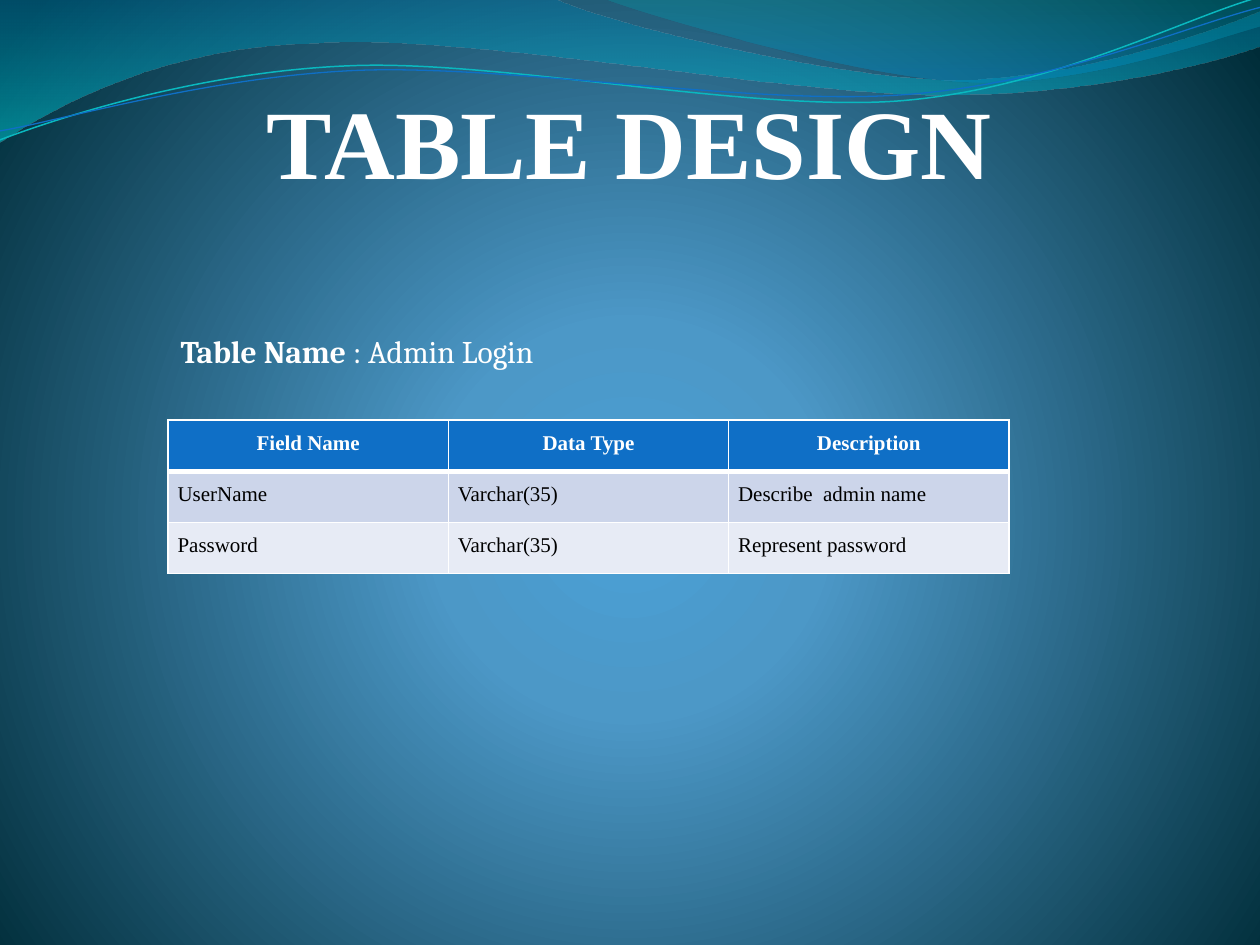
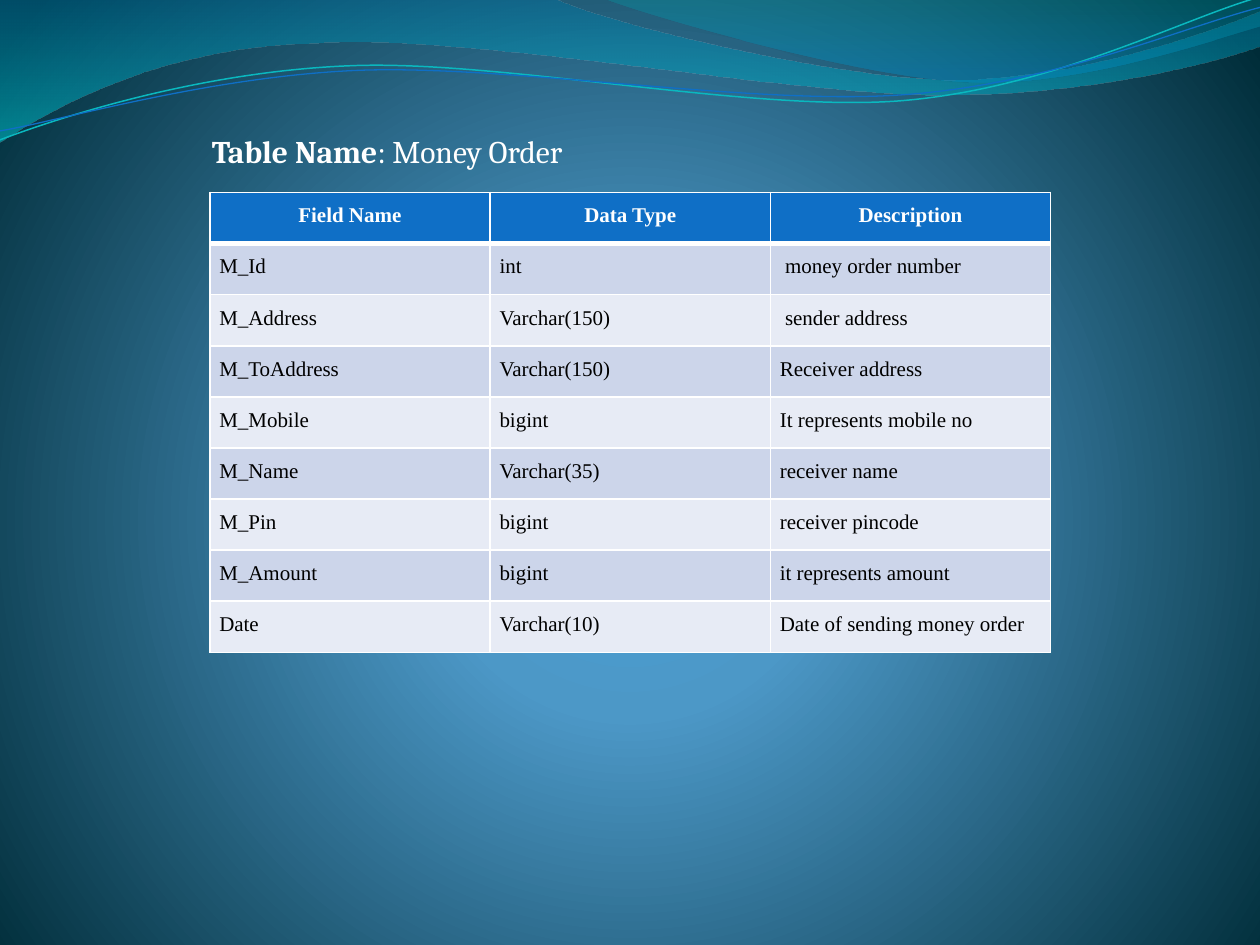
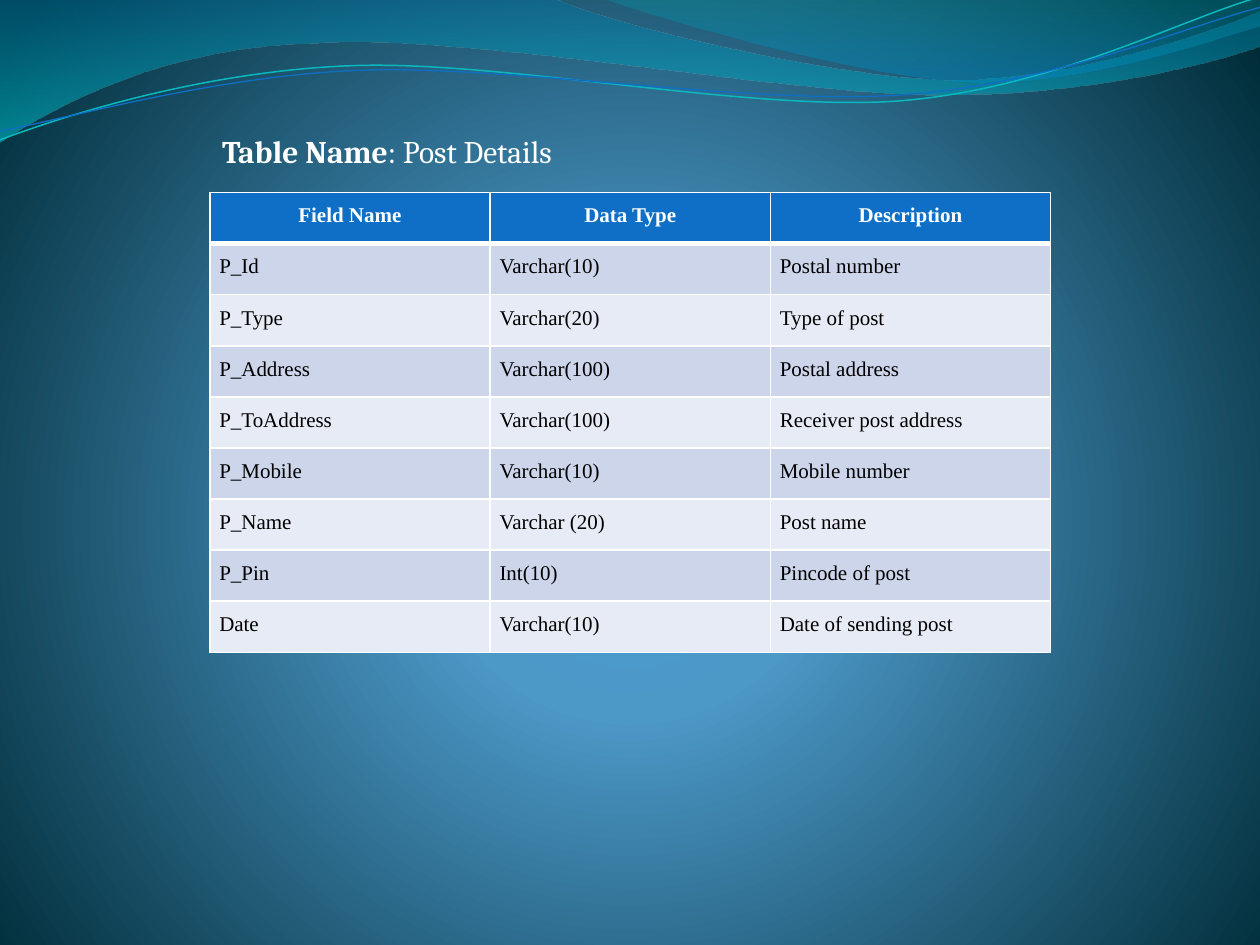
from lxml import etree
from pptx import Presentation
from pptx import util as u
from pptx.dml.color import RGBColor
from pptx.enum import text
from pptx.oxml import ns, xmlchemy

WHITE = RGBColor(0xFF, 0xFF, 0xFF)
BLACK = RGBColor(0, 0, 0)
BLUE = RGBColor(0x0F, 0x6F, 0xC6)
TURQUOISE = RGBColor(0x0A, 0xB8, 0xBF)
ROW_FILLS = (RGBColor(0xCC, 0xD5, 0xEA), RGBColor(0xE7, 0xEB, 0xF5))

# Gradient stops: position %, colour, opacity %
BACKDROP = [(0, RGBColor(0x4A, 0xA0, 0xD6), 100),
            (25, RGBColor(0x4C, 0x98, 0xC7), 100),
            (100, RGBColor(0x00, 0x2C, 0x38), 100)]
WIDE_WAVE_FILL = [(0, RGBColor(0x00, 0x74, 0xA1), 45),
                  (100, RGBColor(0x00, 0xC6, 0xCF), 55)]
CORNER_WAVE_FILL = [(0, RGBColor(0x00, 0xA1, 0xA9), 30),
                    (80, RGBColor(0x00, 0x8B, 0xBF), 45)]

# Outlines in cm: a start point, then line ends (x, y) or Bézier curves (6 numbers)
WIDE_WAVE = [(0, 0), (11.18, -0.03),
             (12.09, 0.43, 16.87, 1.6, 19.25, 1.6),
             (21.67, 1.6, 24.33, 0.66, 25.4, 0.23), (25.43, 0.91),
             (24.97, 1.12, 22.1, 1.93, 18.95, 1.91),
             (15.8, 1.91, 9.7, 0.71, 6.53, 0.86),
             (3.28, 0.91, 1.17, 2.11, -0.03, 2.87)]
CORNER_WAVE = [(12.17, -0.03), (12.93, 0.28, 17.32, 1.57, 19.53, 1.65),
               (21.74, 1.75, 24.41, 0.81, 25.4, 0.53), (25.4, 0)]
# The two thin lines are given level and tilted by WAVE_LINE_TILT degrees
WAVE_LINE_TILT = -2.7
TURQUOISE_LINE = [(-0.05, 2.22), (1.19, 1.82, 4.02, 1.04, 7.05, 1.06),
                  (10.05, 1.07, 15.02, 2.37, 18.08, 2.29),
                  (21.13, 2.2, 23.87, 0.91, 25.41, 0.55)]
BLUE_LINE = [(-0.04, 2.04), (1.16, 1.9, 4.18, 1.15, 7.2, 1.16),
             (10.25, 1.18, 15.13, 2.25, 18.18, 2.17),
             (21.21, 2.1, 23.93, 1.06, 25.45, 0.75)]

SERIF = "Times New Roman"
COLUMN_WIDTH, ROW_HEIGHT = 5.65, 1.03
HEADER = ("Field Name", "Data Type", "Description")
ADMIN_LOGIN = [
    ("UserName", "Varchar(35)", "Describe  admin name"),
    ("Password", "Varchar(35)", "Represent password"),
]
MONEY_ORDER = [
    ("M_Id", "int", " money order number"),
    ("M_Address", "Varchar(150)", " sender address "),
    ("M_ToAddress", "Varchar(150)", "Receiver address"),
    ("M_Mobile", "bigint", "It represents mobile no"),
    ("M_Name", "Varchar(35)", "receiver name"),
    ("M_Pin", "bigint", "receiver pincode"),
    ("M_Amount", "bigint", "it represents amount"),
    ("Date", "Varchar(10)", "Date of sending money order"),
]
POST_DETAILS = [
    ("P_Id", "Varchar(10)", "Postal number"),
    ("P_Type", "Varchar(20)", "Type of post"),
    ("P_Address", "Varchar(100)", "Postal address"),
    ("P_ToAddress", "Varchar(100)", "Receiver post address"),
    ("P_Mobile", "Varchar(10)", "Mobile number"),
    ("P_Name", "Varchar (20)", "Post name"),
    ("P_Pin", "Int(10)", "Pincode of post"),
    ("Date", "Varchar(10)", "Date of sending post"),
]


def write(frame, *runs, size, font=SERIF, color=WHITE, align=None,
          line_spacing=None, space_after=None):
    """Fill the first paragraph with (wording, bold) runs."""
    paragraph = frame.paragraphs[0]
    paragraph.alignment = align
    paragraph.line_spacing = line_spacing
    paragraph.space_after = space_after
    for wording, bold in runs:
        run = paragraph.add_run()
        run.text = wording
        run.font.size = u.Pt(size)
        run.font.name = font
        run.font.bold = bold
        run.font.color.rgb = color


def set_gradient(parent, stops, direction):
    """Swap the solid fill under parent for a gradient; direction is its XML."""
    stop_xml = "".join(
        f'<a:gs pos="{position * 1000}"><a:srgbClr val="{color}">'
        f'<a:alpha val="{opacity * 1000}"/></a:srgbClr></a:gs>'
        for position, color, opacity in stops)
    gradient = etree.fromstring(
        f'<a:gradFill {ns.nsdecls("a")} rotWithShape="1">'
        f'<a:gsLst>{stop_xml}</a:gsLst>{direction}</a:gradFill>')
    parent.replace(parent.find(ns.qn("a:solidFill")), gradient)


def bend(shape, outline):
    """Join each curve's three straight segments into one Bézier segment."""
    geometry = shape.element.xpath(".//a:path")[0]
    straights = iter(geometry.findall(ns.qn("a:lnTo")))
    for segment in outline[1:]:
        parts = [next(straights) for _ in range(len(segment) // 2)]
        if len(parts) == 1:
            continue
        curve = xmlchemy.OxmlElement("a:cubicBezTo")
        parts[0].addprevious(curve)
        for part in parts:
            curve.append(part[0])
            geometry.remove(part)


def add_outline(slide, outline, closed):
    start, *points = [(u.Cm(x), u.Cm(y)) for segment in outline
                      for x, y in zip(segment[::2], segment[1::2])]
    builder = slide.shapes.build_freeform(*start)
    builder.add_line_segments(points, close=closed)
    shape = builder.convert_to_shape()
    shape.shadow.inherit = False
    bend(shape, outline)
    return shape


def add_wave(slide, outline, stops):
    wave = add_outline(slide, outline, closed=True)
    wave.line.fill.background()
    wave.fill.solid()
    set_gradient(wave.element.spPr, stops, '<a:lin ang="5400000" scaled="0"/>')
    return wave


def add_wave_line(slide, outline, color, width):
    line = add_outline(slide, outline, closed=False)
    line.rotation = WAVE_LINE_TILT
    line.fill.background()
    line.line.color.rgb = color
    line.line.width = u.Pt(width)
    return line


def style_master(master, slide):
    """Give the master its backdrop and waves, which are drawn on slide and moved."""
    master.background.fill.solid()
    backdrop = master.element.xpath("p:cSld/p:bg/p:bgPr")[0]
    set_gradient(backdrop, BACKDROP,
                 '<a:path path="circle"><a:fillToRect l="10000" t="110000" '
                 'r="10000" b="100000"/></a:path>')
    waves = [add_wave(slide, WIDE_WAVE, WIDE_WAVE_FILL),
             add_wave(slide, CORNER_WAVE, CORNER_WAVE_FILL),
             add_wave_line(slide, TURQUOISE_LINE, TURQUOISE, 0.85),
             add_wave_line(slide, BLUE_LINE, BLUE, 0.75)]
    for number, wave in enumerate(waves, start=20):
        wave.element.xpath("p:nvSpPr/p:cNvPr")[0].set("id", str(number))
        master.shapes.element.append(wave.element)


def set_title(slide, wording):
    title = slide.shapes.title
    title.left, title.top = u.Cm(3.18), u.Cm(1.7)
    title.width, title.height = u.Cm(19.05), u.Cm(2.34)
    frame = title.text_frame
    frame.auto_size = text.MSO_AUTO_SIZE.NONE
    frame.vertical_anchor = text.MSO_ANCHOR.BOTTOM
    frame.margin_left = frame.margin_top = frame.margin_bottom = 0
    frame.margin_right = u.Cm(0.05)
    write(frame, (wording, True), size=56, align=text.PP_ALIGN.CENTER,
          line_spacing=0.9)


def add_table_name(slide, left, top, width, label, name):
    box = slide.shapes.add_textbox(u.Cm(left), u.Cm(top), u.Cm(width), u.Cm(1.03))
    box.text_frame.word_wrap = False
    box.text_frame.auto_size = text.MSO_AUTO_SIZE.SHAPE_TO_FIT_TEXT
    write(box.text_frame, (label, True), (name, False), size=18, font="Cambria")


def set_borders(cell, **widths):
    """Draw white borders; widths in points by side: L, R, T, B."""
    properties = cell._tc.get_or_add_tcPr()
    for index, (side, width) in enumerate(widths.items()):
        properties.insert(index, etree.fromstring(
            f'<a:ln{side} {ns.nsdecls("a")} w="{u.Pt(width)}"><a:solidFill>'
            f'<a:srgbClr val="{WHITE}"/></a:solidFill></a:ln{side}>'))


def add_field_table(slide, left, top, fields):
    rows = [HEADER, *fields]
    table = slide.shapes.add_table(
        len(rows), len(HEADER), u.Cm(left), u.Cm(top),
        u.Cm(COLUMN_WIDTH * len(HEADER)), u.Cm(ROW_HEIGHT * len(rows))).table
    table.horz_banding = False
    for column in table.columns:
        column.width = u.Cm(COLUMN_WIDTH)
    for r, row in enumerate(rows):
        table.rows[r].height = u.Cm(ROW_HEIGHT)
        is_header = r == 0
        for c, wording in enumerate(row):
            cell = table.cell(r, c)
            cell.margin_left = cell.margin_right = u.Cm(0.19)
            cell.margin_top = cell.margin_bottom = 0
            cell.fill.solid()
            cell.fill.fore_color.rgb = BLUE if is_header else ROW_FILLS[(r - 1) % 2]
            set_borders(cell, L=1, R=1, T=3 if r == 1 else 1, B=3 if is_header else 1)
            write(cell.text_frame, (wording, is_header), size=12,
                  color=WHITE if is_header else BLACK,
                  align=text.PP_ALIGN.CENTER if is_header else text.PP_ALIGN.JUSTIFY,
                  line_spacing=1.5, space_after=u.Pt(10))


def main():
    deck = Presentation()
    deck.slide_width, deck.slide_height = u.Cm(25.4), u.Cm(19.05)
    title_only, blank = deck.slide_layouts[5], deck.slide_layouts[6]

    admin = deck.slides.add_slide(title_only)
    style_master(deck.slide_master, admin)
    set_title(admin, "TABLE DESIGN")
    add_field_table(admin, 3.39, 8.47, ADMIN_LOGIN)
    add_table_name(admin, 3.39, 6.56, 8.15, "Table Name ", ": Admin Login")

    for name, left, width, fields in (
            (": Money Order", 4.02, 8.08, MONEY_ORDER),
            (": Post Details", 4.23, 7.65, POST_DETAILS)):
        slide = deck.slides.add_slide(blank)
        add_field_table(slide, 4.23, 3.88, fields)
        add_table_name(slide, left, 2.54, width, "Table Name", name)

    deck.save("out.pptx")


if __name__ == "__main__":
    main()
